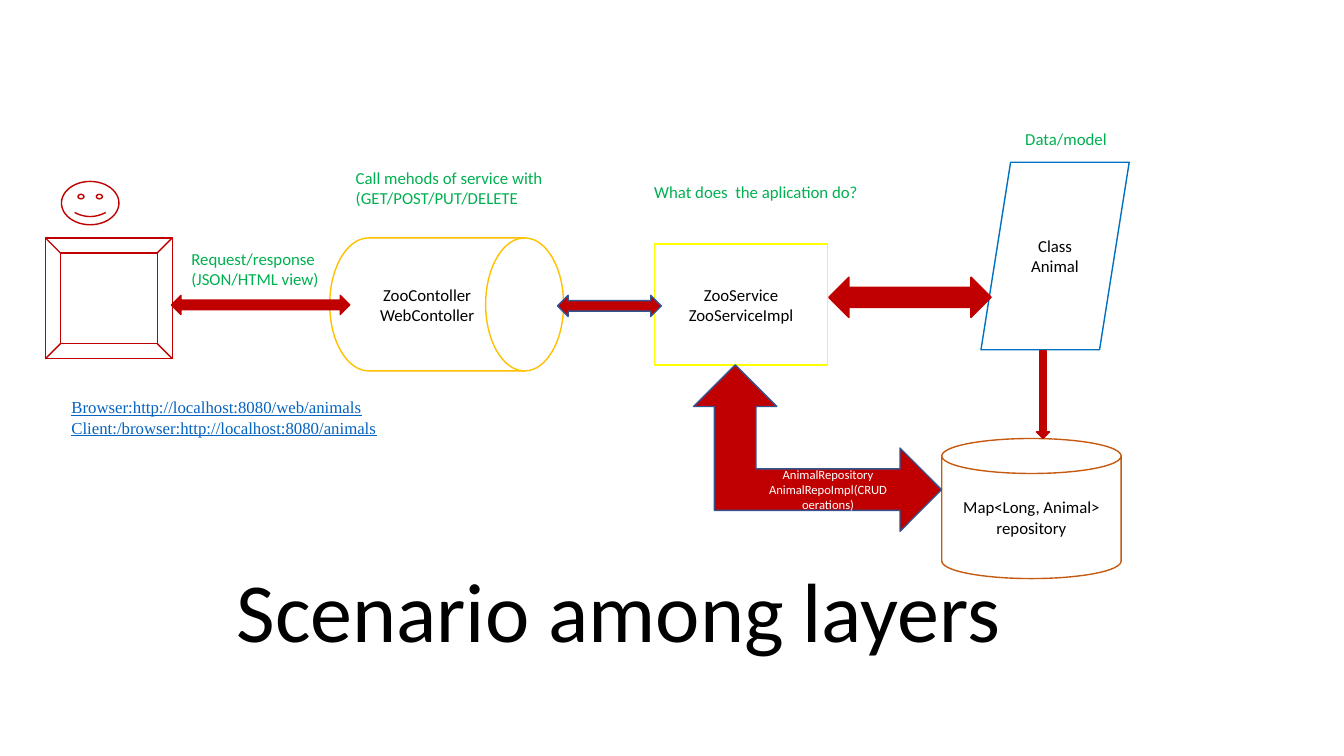
from pptx import Presentation
from pptx.dml.color import RGBColor
from pptx.enum.shapes import MSO_SHAPE
from pptx.enum.text import MSO_ANCHOR, PP_ALIGN
from pptx.util import Inches, Pt

BLACK, WHITE, RED, NAVY = "000000", "FFFFFF", "C00000", "325491"
GREEN, LINK_BLUE = "00B050", "0563C1"


def colour(hex_code):
    return RGBColor.from_string(hex_code)


def write(frame, text, ink, size=12, font="Calibri", align=None, **extras):
    """Fill a frame; a newline starts a paragraph, a vertical tab a line."""
    frame.word_wrap = True
    frame.text = text
    formats = {"size": Pt(size), "name": font, **extras}
    for para in frame.paragraphs:
        para.alignment = align
        for span in para.runs:
            for name, value in formats.items():
                setattr(span.font, name, value)
            span.font.color.rgb = colour(ink)


def place(item, bounds):
    for name, value in zip(("left", "top", "width", "height"), bounds):
        setattr(item, name, Inches(value))


def add_title(page, text, bounds):
    title = page.shapes.title
    place(title, bounds)
    write(title.text_frame, text, BLACK, 60, align=PP_ALIGN.CENTER)
    title.text_frame.vertical_anchor = MSO_ANCHOR.BOTTOM
    title.text_frame.paragraphs[0].line_spacing = 0.9


def add_figure(page, kind, bounds, line, text="", fill=None, ink=BLACK, size=12):
    shape = page.shapes.add_shape(kind, *map(Inches, bounds))
    shape.shadow.inherit = False
    shape.line.color.rgb = colour(line)
    shape.line.width = Pt(1)
    if fill:
        shape.fill.solid()
        shape.fill.fore_color.rgb = colour(fill)
    else:
        shape.fill.background()
    if text:
        write(shape.text_frame, text, ink, size, align=PP_ALIGN.CENTER)
        shape.text_frame.vertical_anchor = MSO_ANCHOR.MIDDLE
    return shape


def add_label(page, text, bounds, ink=GREEN, **formats):
    box = page.shapes.add_textbox(*map(Inches, bounds))
    write(box.text_frame, text, ink, **formats)


def main():
    deck = Presentation()
    deck.slide_width, deck.slide_height = Inches(13.33), Inches(7.5)
    page = deck.slides.add_slide(deck.slide_layouts[5])
    add_title(page, "Scenario among layers", (0.61, 1.23, 11.05, 5.37))

    # User and application layers
    layers = [
        (MSO_SHAPE.BEVEL, (0.45, 2.36, 1.26, 1.2), RED, ""),
        (MSO_SHAPE.FLOWCHART_DIRECT_ACCESS_STORAGE, (3.27, 2.36, 2.32, 1.32),
         "FFC000", "ZooContoller\vWebContoller"),
        (MSO_SHAPE.FLOWCHART_PROCESS, (6.49, 2.42, 1.72, 1.2),
         "FFFF00", "ZooService\nZooServiceImpl"),
        (MSO_SHAPE.CAN, (9.34, 4.35, 1.78, 1.39),
         "C55A11", "Map<Long, Animal> repository"),
        (MSO_SHAPE.SMILEY_FACE, (0.61, 1.8, 0.57, 0.43), RED, ""),
        (MSO_SHAPE.FLOWCHART_DATA, (9.73, 1.61, 1.47, 1.86),
         "0070C0", "Class Animal"),
    ]
    for layer in layers:
        add_figure(page, *layer)

    # Block arrows between the layers
    arrows = [
        (MSO_SHAPE.LEFT_RIGHT_ARROW, (5.53, 2.93, 1.03, 0.21), NAVY),
        (MSO_SHAPE.LEFT_RIGHT_ARROW, (8.22, 2.75, 1.61, 0.4), RED),
        (MSO_SHAPE.LEFT_RIGHT_ARROW, (1.7, 2.93, 1.77, 0.19), RED),
        (MSO_SHAPE.DOWN_ARROW, (10.28, 3.48, 0.13, 0.87), RED),
    ]
    for arrow in arrows:
        add_figure(page, *arrow, fill=RED)

    # Bent arrow, mirrored to point right towards the repository
    bent_arrow = add_figure(
        page, MSO_SHAPE.LEFT_UP_ARROW, (6.88, 3.62, 2.46, 1.65), NAVY,
        "AnimalRepository AnimalRepoImpl(CRUD oerations)", RED, WHITE, 9)
    bent_arrow.element.spPr.xfrm.set("flipH", "1")

    # Addresses
    add_label(page, "Browser:http://localhost:8080/web/animals\n"
              "Client:/browser:http://localhost:8080/animals",
              (0.61, 3.89, 4.38, 1.11), LINK_BLUE,
              font="Times New Roman", underline=True)

    # Notes on each layer
    labels = [
        ("Call mehods of service with (GET/POST/PUT/DELETE", (3.43, 1.61, 2.08, 0.81)),
        ("Request/response\n(JSON/HTML view)", (1.8, 2.42, 1.74, 0.5)),
        ("What does  the aplication do?", (6.39, 1.75, 2.49, 0.3)),
        ("Data/model", (10.07, 1.23, 2.18, 0.3)),
    ]
    for label in labels:
        add_label(page, *label)

    deck.save("out.pptx")


main()
